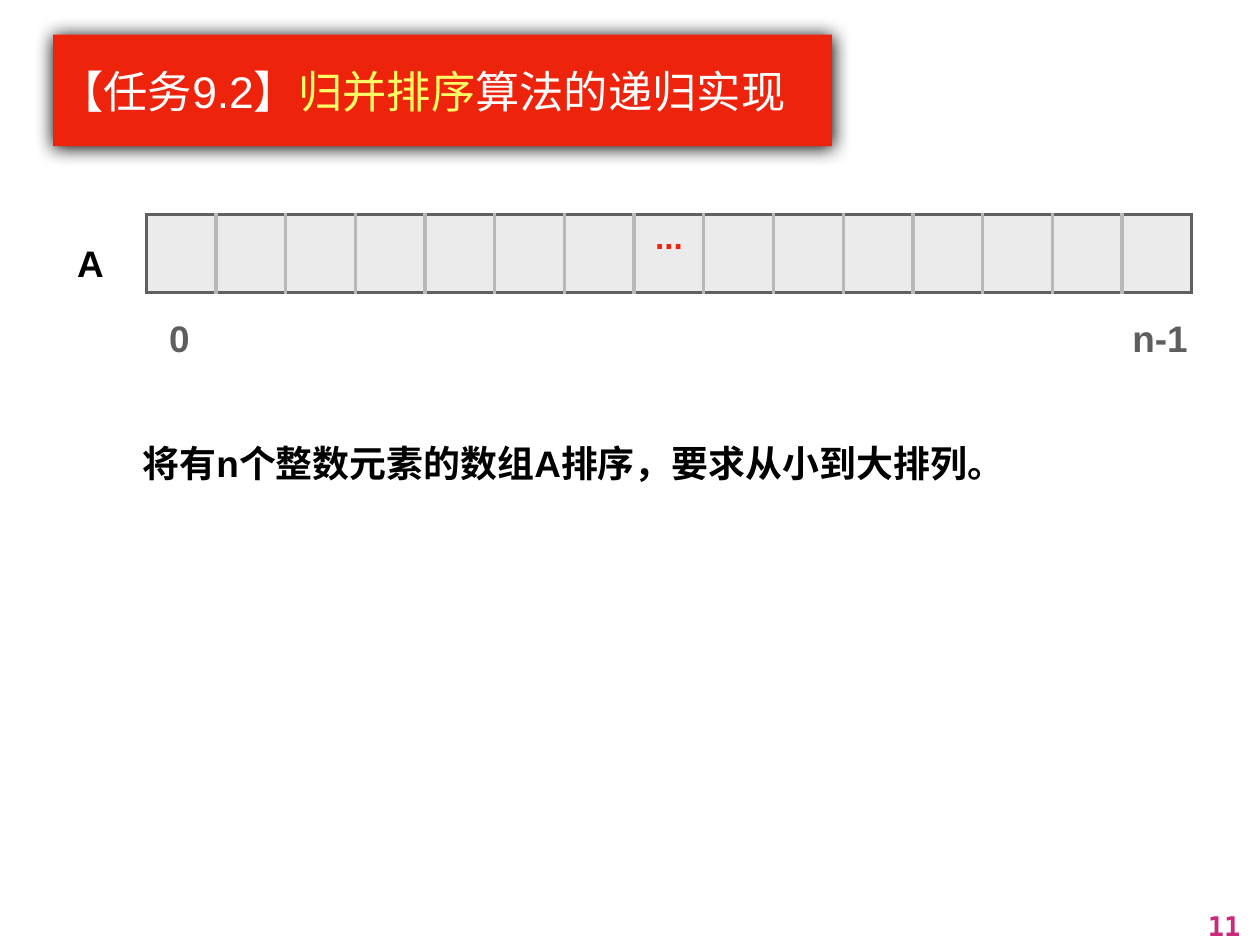
from lxml.etree import SubElement
from pptx import Presentation
from pptx.dml.color import RGBColor
from pptx.enum.shapes import MSO_SHAPE
from pptx.enum.text import MSO_ANCHOR, PP_ALIGN
from pptx.oxml.ns import qn
from pptx.util import Inches, Pt

COLORS = {
    "banner": "EE230C", "white": "FFFFFF", "highlight": "FFFC66",
    "cell": "EBEBEB", "edge": "606060", "divider": "B8B8B8",
    "black": "000000", "index": "5E5E5E", "number": "CB2A7A",
}
CELL_COUNT = 15
ELLIPSIS_CELL = 7


def color(key):
    return RGBColor.from_string(COLORS[key])


def set_margins(holder, inset):
    holder.margin_left = holder.margin_right = Inches(inset)
    holder.margin_top = holder.margin_bottom = Inches(inset)


def add_run(paragraph, text, size, key, bold=True, font="Arial"):
    run = paragraph.add_run()
    run.text = text
    run.font.name = font
    run.font.size = Pt(size)
    run.font.bold = bold
    run.font.color.rgb = color(key)


def add_label(slide, box, text, key="black", wrap=False):
    frame = slide.shapes.add_textbox(*map(Inches, box)).text_frame
    set_margins(frame, 0.06)
    frame.word_wrap = wrap
    frame.vertical_anchor = MSO_ANCHOR.MIDDLE
    frame.paragraphs[0].line_spacing = 1.4
    add_run(frame.paragraphs[0], text, 30, key)


def add_banner(slide, box):
    banner = slide.shapes.add_shape(MSO_SHAPE.RECTANGLE, *map(Inches, box))
    banner.fill.solid()
    banner.fill.fore_color.rgb = color("banner")
    banner.line.fill.background()
    banner.shadow.inherit = False
    effects = banner.element.spPr.find(qn("a:effectLst"))
    shadow = SubElement(effects, qn("a:outerShdw"), blurRad=str(Pt(15)),
                        dist=str(Pt(0.7)), dir="5400000", rotWithShape="0")
    SubElement(shadow, qn("a:srgbClr"), val=COLORS["black"])
    frame = banner.text_frame
    set_margins(frame, 0.07)
    frame.word_wrap = True
    frame.vertical_anchor = MSO_ANCHOR.MIDDLE
    title = frame.paragraphs[0]
    title.alignment = PP_ALIGN.LEFT
    for text, key in (("【任务9.2】", "white"), ("归并排序", "highlight"),
                      ("算法的递归实现", "white")):
        add_run(title, text, 36, key, bold=False)


def add_border(cell, side, key):
    border = SubElement(cell._tc.get_or_add_tcPr(), qn(f"a:ln{side}"), w=str(Pt(3)))
    fill = SubElement(border, qn("a:solidFill"))
    SubElement(fill, qn("a:srgbClr"), val=COLORS[key])


def add_array(slide, box):
    left, top, width, height = box
    array = slide.shapes.add_table(1, CELL_COUNT, *map(Inches, box)).table
    array.first_row = array.horz_banding = False
    array.rows[0].height = Inches(height)
    for position, column in enumerate(array.columns):
        column.width = Inches(width / CELL_COUNT)
        cell = array.cell(0, position)
        set_margins(cell, 0.06)
        add_border(cell, "L", "edge" if position == 0 else "divider")
        add_border(cell, "R", "edge" if position == CELL_COUNT - 1 else "divider")
        add_border(cell, "T", "edge")
        add_border(cell, "B", "edge")
        cell.fill.solid()
        cell.fill.fore_color.rgb = color("cell")
    ellipsis = array.cell(0, ELLIPSIS_CELL).text_frame.paragraphs[0]
    ellipsis.alignment = PP_ALIGN.CENTER
    add_run(ellipsis, "...", 27, "banner")
    add_label(slide, (left - 0.84, top + 0.14, 0.41, 0.61), "A")
    index_top = top + height + 0.11
    add_label(slide, (left + 0.2, index_top, 0.36, 0.61), "0", "index")
    add_label(slide, (left + width - 0.73, index_top, 0.77, 0.61), "n-1", "index")


def add_slide_number(slide, box):
    frame = slide.shapes.add_textbox(*map(Inches, box)).text_frame
    set_margins(frame, 0.07)
    frame.word_wrap = False
    frame.paragraphs[0].alignment = PP_ALIGN.RIGHT
    add_run(frame.paragraphs[0], "11", 22, "number", font="DejaVu Sans Mono")


def main():
    deck = Presentation()
    deck.slide_width = Inches(14.22)
    deck.slide_height = Inches(10.67)
    slide = deck.slides.add_slide(deck.slide_layouts[6])
    add_banner(slide, (0.6, 0.39, 8.79, 1.26))
    add_array(slide, (1.65, 2.42, 11.8, 0.88))
    add_label(slide, (1.55, 4.37, 9.82, 1.5),
              "将有n个整数元素的数组A排序，要求从小到大排列。", wrap=True)
    add_slide_number(slide, (13.55, 10.2, 0.52, 0.45))
    deck.save("out.pptx")


if __name__ == "__main__":
    main()
